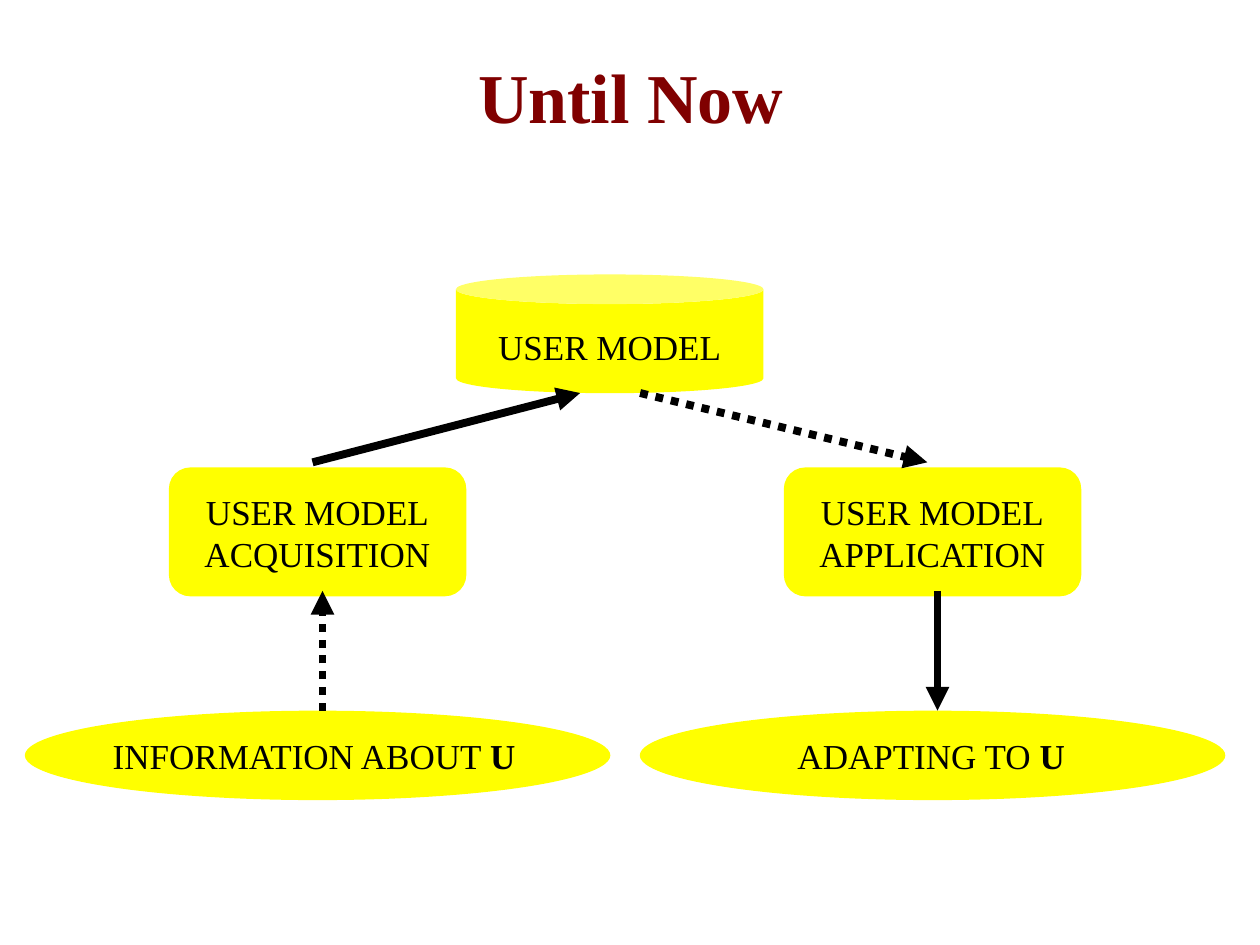
"""Build the user model diagram slide."""
from dataclasses import dataclass

from lxml import etree
from pptx import Presentation
from pptx.dml.color import RGBColor
from pptx.enum import dml, shapes, text
from pptx.oxml import ns
from pptx.util import Pt

FONT = "Times New Roman"
YELLOW, BLACK, MAROON = "FFFF00", "000000", "800000"
COLUMN_GAP = 351.4


@dataclass(frozen=True)
class Box:
    left: float
    top: float
    width: float
    height: float

    def lengths(self) -> list:
        return [Pt(n) for n in (self.left, self.top, self.width, self.height)]


@dataclass(frozen=True)
class Run:
    words: str
    bold: bool = False
    size: float = 20
    colour: str = BLACK


@dataclass(frozen=True)
class Node:
    kind: shapes.MSO_SHAPE
    box: Box
    label: Box
    lines: tuple[tuple[Run, ...], ...]
    adjustment: float | None = None
    wrap: bool = True


@dataclass(frozen=True)
class Arrow:
    start: tuple[float, float]
    end: tuple[float, float]
    dotted: bool = False


def colour(value: str) -> RGBColor:
    return RGBColor.from_string(value)


def add_label(container, box: Box, lines: tuple[tuple[Run, ...], ...],
              wrap: bool = True, fit: bool = True) -> None:
    frame = container.add_textbox(*box.lengths()).text_frame
    frame.word_wrap = wrap
    if fit:
        frame.auto_size = text.MSO_AUTO_SIZE.SHAPE_TO_FIT_TEXT
    else:
        frame.vertical_anchor = text.MSO_ANCHOR.MIDDLE
    paragraph = frame.paragraphs[0]
    paragraph.alignment = text.PP_ALIGN.CENTER if wrap else text.PP_ALIGN.LEFT
    for index, line in enumerate(lines):
        if index:
            paragraph.add_line_break()
        for item in line:
            run = paragraph.add_run()
            run.text = item.words
            run.font.name = FONT
            run.font.size = Pt(item.size)
            run.font.bold = item.bold
            run.font.color.rgb = colour(item.colour)


def add_node(slide, node: Node) -> None:
    group = slide.shapes.add_group_shape()
    shape = group.shapes.add_shape(node.kind, *node.box.lengths())
    shape.shadow.inherit = False
    shape.fill.solid()
    shape.fill.fore_color.rgb = colour(YELLOW)
    shape.line.fill.background()
    if node.adjustment is not None:
        shape.adjustments[0] = node.adjustment
    add_label(group.shapes, node.label, node.lines, node.wrap)


def add_arrow(slide, arrow: Arrow) -> None:
    ends = [Pt(n) for n in (*arrow.start, *arrow.end)]
    connector = slide.shapes.add_connector(shapes.MSO_CONNECTOR.STRAIGHT, *ends)
    connector.line.width = Pt(4.5)
    connector.line.color.rgb = colour(BLACK)
    if arrow.dotted:
        connector.line.dash_style = dml.MSO_LINE.ROUND_DOT
    line = connector.line._get_or_add_ln()
    etree.SubElement(line, ns.qn("a:tailEnd"), type="triangle")
    etree.SubElement(connector._element.spPr, ns.qn("a:effectLst"))


def step_node(column: int, second_line: str) -> Node:
    shift = column * COLUMN_GAP
    return Node(shapes.MSO_SHAPE.ROUNDED_RECTANGLE,
                Box(96.5 + shift, 267.1, 170, 73.7),
                Box(93.6 + shift, 276.5, 175.7, 55.4),
                ((Run("USER MODEL"),), (Run(second_line),)), 0.167)


def end_node(column: int, words: str, label_width: float) -> Node:
    left, width = 14.2 + column * COLUMN_GAP, 334.6
    return Node(shapes.MSO_SHAPE.OVAL, Box(left, 406.1, width, 51.1),
                Box(left + (width - label_width) / 2, 416.2, label_width, 31),
                ((Run(words), Run("U", bold=True)),), wrap=False)


NODES = (
    Node(shapes.MSO_SHAPE.CAN, Box(260.6, 156.8, 175.7, 67.9),
         Box(260.6, 182.2, 175.7, 31), ((Run("USER MODEL"),),), 0.25),
    step_node(0, "ACQUISITION"),
    step_node(1, "APPLICATION"),
    end_node(0, "INFORMATION ABOUT ", 248.4),
    end_node(1, "ADAPTING TO ", 168.5),
)
ARROWS = (
    Arrow((184.3, 406.1), (184.3, 337.7), dotted=True),
    Arrow((178.6, 264.2), (331.5, 224.6)),
    Arrow((365.8, 224.6), (529.9, 264.2), dotted=True),
    Arrow((535.7, 337.7), (535.7, 406.1)),
)


def main() -> None:
    presentation = Presentation()
    presentation.slide_width, presentation.slide_height = Pt(720), Pt(540)
    slide = presentation.slides.add_slide(presentation.slide_layouts[6])
    title = Run("Until Now", bold=True, size=40, colour=MAROON)
    add_label(slide.shapes, Box(14.4, 9.4, 692, 90), ((title,),), fit=False)
    for node in NODES:
        add_node(slide, node)
    for arrow in ARROWS:
        add_arrow(slide, arrow)
    presentation.save("out.pptx")


if __name__ == "__main__":
    main()
